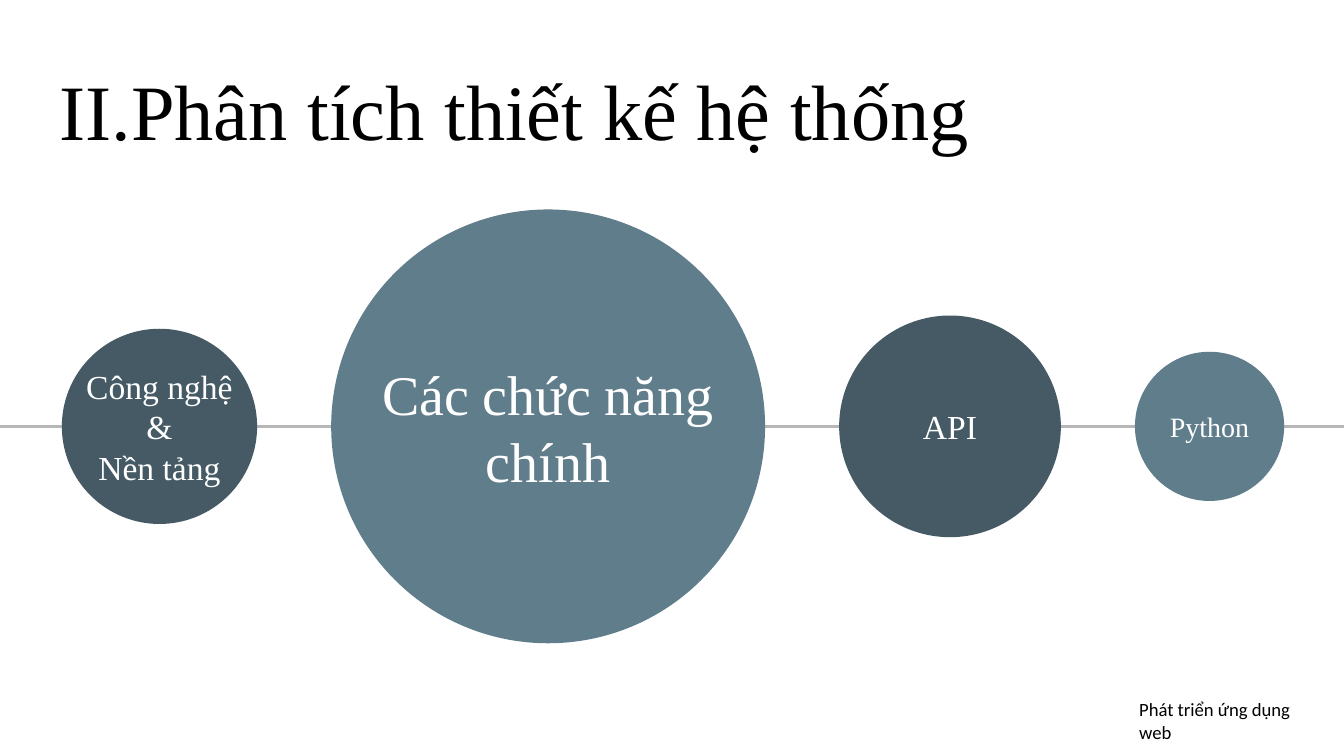
from lxml import etree
from pptx import Presentation
from pptx.dml.color import RGBColor
from pptx.enum import shapes, text
from pptx.oxml import ns
from pptx.util import Cm, Pt

COLORS = {"black": "000000", "white": "FFFFFF", "line": "B7B7B7",
          "dark": "455A64", "light": "607D8B"}
SERIF = "Times New Roman"
SLIDE_W, SLIDE_H = 25.4, 14.29


def rgb(name):
    return RGBColor.from_string(COLORS[name])


def write(tf, lines, size, font=SERIF, color="black",
          align=text.PP_ALIGN.LEFT, anchor=text.MSO_ANCHOR.TOP):
    """Fill a text frame, one paragraph per line."""
    tf.word_wrap = True
    tf.auto_size = text.MSO_AUTO_SIZE.NONE
    tf.vertical_anchor = anchor
    tf.margin_left = tf.margin_right = tf.margin_top = tf.margin_bottom = Cm(0.25)
    for i, line in enumerate(lines):
        p = tf.paragraphs[0] if i == 0 else tf.add_paragraph()
        p.alignment = align
        r = p.add_run()
        r.text = line
        r.font.size, r.font.name = Pt(size), font
        r.font.color.rgb = rgb(color)


def add_title(s, x, y, w, h):
    sp = s.shapes.title
    sp.left, sp.top, sp.width, sp.height = Cm(x), Cm(y), Cm(w), Cm(h)
    write(sp.text_frame, ["Phân tích thiết kế hệ thống"], 42,
          anchor=text.MSO_ANCHOR.BOTTOM)
    # Roman numbering that starts at II
    pPr = sp.text_frame.paragraphs[0]._p.get_or_add_pPr()
    pPr.set("marL", str(Cm(1.27)))
    pPr.set("indent", str(Cm(-1.37)))
    color = etree.SubElement(pPr, ns.qn("a:buClr"))
    etree.SubElement(color, ns.qn("a:srgbClr"), val=COLORS["black"])
    etree.SubElement(pPr, ns.qn("a:buFont"), typeface=SERIF)
    etree.SubElement(pPr, ns.qn("a:buAutoNum"), type="romanUcPeriod", startAt="2")


def add_text(s, x, y, w, h, lines, size, **fmt):
    sp = s.shapes.add_textbox(Cm(x), Cm(y), Cm(w), Cm(h))
    write(sp.text_frame, lines, size, **fmt)


def add_circle(s, x, mid, d, fill, lines, size, overhang=0):
    """Circle centred on the line, with its label box across it."""
    sp = s.shapes.add_shape(shapes.MSO_SHAPE.OVAL, Cm(x), Cm(mid - d / 2), Cm(d), Cm(d))
    sp.shadow.inherit = False
    sp.fill.solid()
    sp.fill.fore_color.rgb = rgb(fill)
    sp.line.fill.background()
    label_h = 1.68
    add_text(s, x - overhang, mid - label_h / 2, d + 2 * overhang, label_h,
             lines, size, color="white", align=text.PP_ALIGN.CENTER,
             anchor=text.MSO_ANCHOR.MIDDLE)


def add_chain(s, x, mid, gap, circles):
    # Line behind the circles
    line = s.shapes.add_connector(shapes.MSO_CONNECTOR.STRAIGHT,
                                  Cm(0), Cm(mid), Cm(SLIDE_W), Cm(mid))
    line.line.color.rgb = rgb("line")
    line.line.width = Pt(1.5)
    etree.SubElement(line._element.spPr, ns.qn("a:effectLst"))
    # Circles with equal gaps
    for d, fill, lines, size, overhang in circles:
        add_circle(s, x, mid, d, fill, lines, size, overhang)
        x += d + gap


def main():
    prs = Presentation()
    prs.slide_width, prs.slide_height = Cm(SLIDE_W), Cm(SLIDE_H)
    s = prs.slides.add_slide(prs.slide_layouts[5])

    add_title(s, 0.87, 0.89, 23.67, 2.31)
    add_chain(s, 1.17, 8.06, 1.4, [
        (3.69, "dark", ["Công nghệ", "&", "Nền tảng"], 18, 0.4),
        (8.2, "light", ["Các chức năng chính"], 30, 0),
        (4.19, "dark", ["API"], 18, 0),
        (2.82, "light", ["Python"], 15, 0),
    ])
    # Footer
    add_text(s, 21.28, 12.95, 3.45, 0.99, ["Phát triển ứng dụng web"], 10,
             font="Calibri")

    prs.save("out.pptx")


if __name__ == "__main__":
    main()
